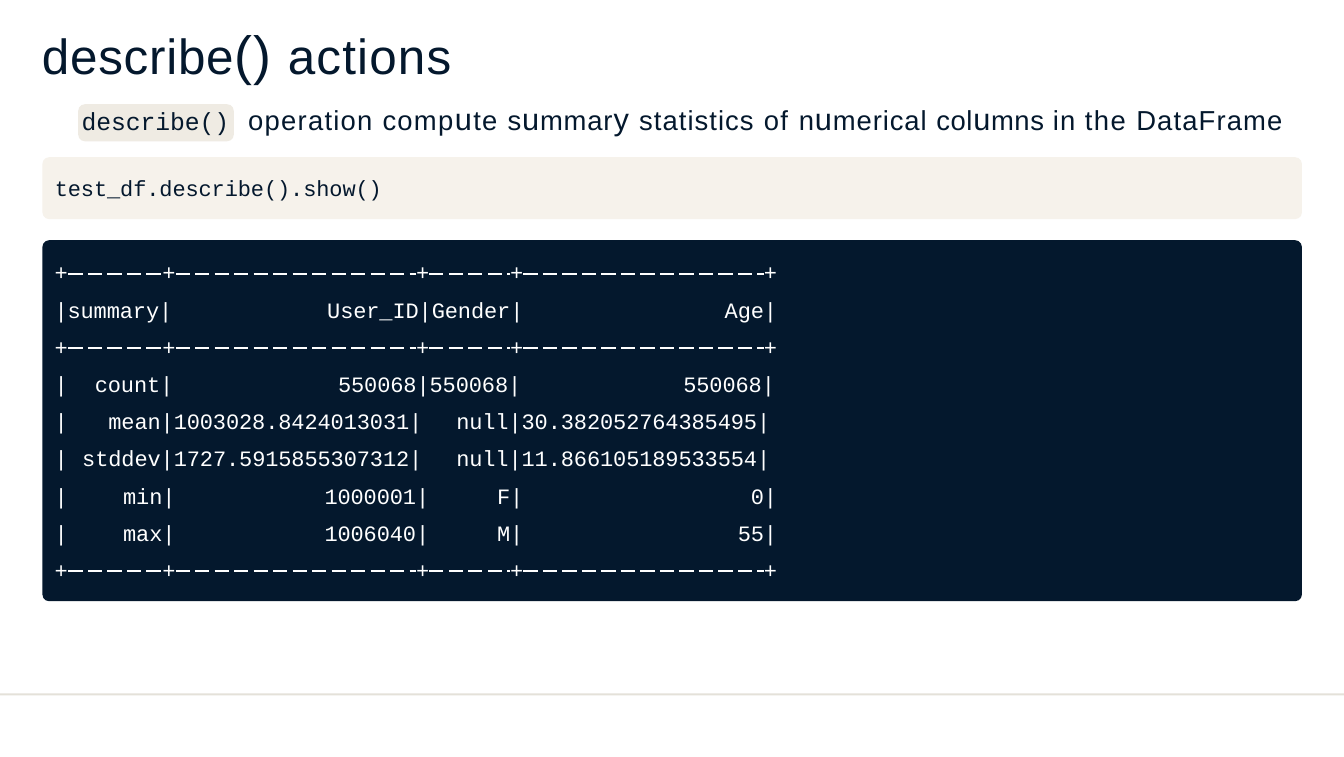
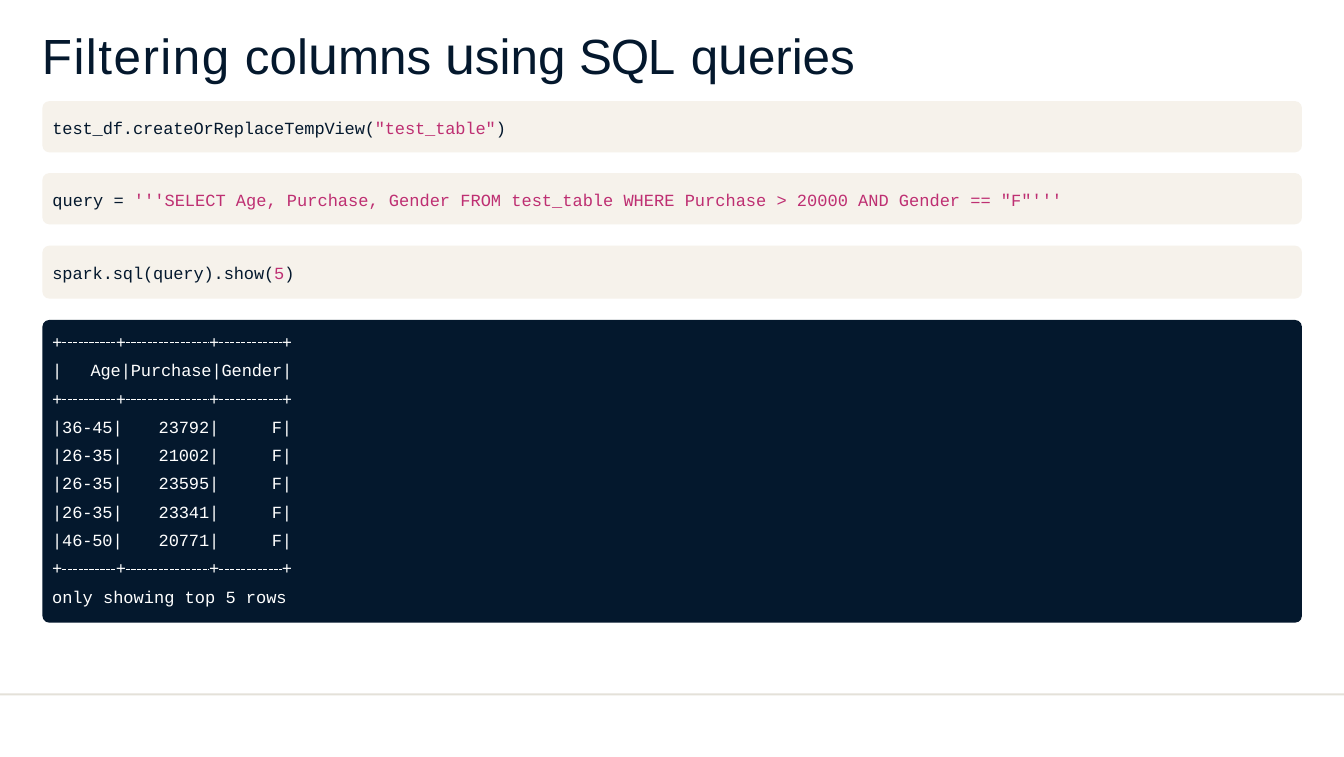
from lxml import etree
from pptx import Presentation
from pptx.dml.color import RGBColor
from pptx.enum import dml, shapes, text
from pptx.oxml import ns
from pptx.util import Pt

COLOURS = {"navy": "04182D", "sand": "F6F2EB", "chip": "EFEBE3",
           "rule": "E4E1D9", "pink": "BE2F72", "white": "FFFFFF", "dash": "FEFEFE"}
RGB = {name: RGBColor.from_string(value) for name, value in COLOURS.items()}
SANS, MONO = "Arial", "Courier New"
PANEL_LEFT, PANEL_WIDTH, RADIUS = 38.7, 1147.7, 6.1
FLUSH = {"margin_left": 0, "margin_right": 0, "margin_top": 0, "margin_bottom": 0,
         "word_wrap": True, "auto_size": text.MSO_AUTO_SIZE.NONE,
         "vertical_anchor": text.MSO_ANCHOR.TOP}


def write(frame, lines, font, pitch=None, **changes):
    """Fill a frame with lines of (text, size, letter spacing, colour) runs."""
    for name, value in {**FLUSH, **changes}.items():
        setattr(frame, name, value)
    for index, runs in enumerate(lines):
        paragraph = frame.add_paragraph() if index else frame.paragraphs[0]
        paragraph.alignment = text.PP_ALIGN.LEFT
        if pitch:
            paragraph.line_spacing = Pt(pitch)
        for words, size, spacing, colour in runs:
            run = paragraph.add_run()
            run.text = words
            for name, value in {"name": font, "size": Pt(size), "bold": False}.items():
                setattr(run.font, name, value)
            run.font.color.rgb = RGB[colour]
            run.font._element.set("spc", str(round(spacing * 100)))


def add_block(slide, left, top, width, height, colour, radius=RADIUS):
    """Add a plain filled block, rounded when it has a radius."""
    kind = shapes.MSO_SHAPE.ROUNDED_RECTANGLE if radius else shapes.MSO_SHAPE.RECTANGLE
    block = slide.shapes.add_shape(kind, Pt(left), Pt(top), Pt(width), Pt(height))
    if radius:
        block.adjustments[0] = radius / height
    block.shadow.inherit = False
    block.fill.solid()
    block.fill.fore_color.rgb = RGB[colour]
    block.line.fill.background()
    return block


# Console rows: (text, spacing, drift); each tab right-aligns what follows at a column edge,
# and drift pulls the row to the left of those edges.
WIDE_RULE, NARROW_RULE = ("+\t+\t+\t+\t+", -0.1, 0), ("+\t+\t+\t+", -0.1, 0)
PAGES = [
    {
        "title": [("describe", 45, 0.7), ("() ", 49, 0.7), ("actions", 45, 1.1)],
        "size": 20,
        "code_margins": {"margin_left": Pt(9.5), "margin_bottom": Pt(1.6)},
        "code": [(143.3, 56.4, -0.1, [("test_df.describe().show()", "navy")])],
        "console": (218.9, 329),
        "first_row": 226.1, "pitch": 33.9, "left": 49.7,
        "edges": [62.4, 160, 391.2, 477, 708.2],
        "dash": dml.MSO_LINE.LONG_DASH, "dash_width": 1.62,
        "rows": [
            WIDE_RULE,
            ("|summary|\tUser_ID|Gender|\tAge|", -0.1, 0),
            WIDE_RULE,
            ("|\tcount|\t550068|550068|\t550068|", -0.1, 2),
            ("|\tmean|1003028.8424013031|\tnull|30.382052764385495|", -0.1, 6.4),
            ("|\tstddev|1727.5915855307312|\tnull|11.866105189533554|", -0.1, 6.4),
            ("|\tmin|\t1000001|\tF|\t0|", -0.1, 0),
            ("|\tmax|\t1006040|\tM|\t55|", -0.1, 0),
            WIDE_RULE,
        ],
    },
    {
        "title": [("Filtering", 45, 1.4), (" col", 45, 0), ("u", 49, 0), ("mns ", 45, 0),
                  ("u", 49, 0), ("sing ", 45, 0), ("SQL", 45, -1.2), (" ", 45, 1.5),
                  ("q", 45, -0.1), ("u", 49, -0.1), ("eries", 45, -0.1)],
        "size": 15.5,
        "code_margins": {"margin_left": Pt(7.3), "margin_top": Pt(1.6)},
        "code": [
            (92.2, 46.6, -0.1, [("test_df.createOrReplaceTempView(", "navy"),
                                ('"test_table"', "pink"), (")", "navy")]),
            (157.8, 46.6, 0, [("query = ", "navy"),
                              ("'''SELECT Age, Purchase, Gender FROM test_table "
                               "WHERE Purchase > 20000 AND Gender == \"F\"'''", "pink")]),
            (223.9, 48.2, -0.1, [("spark.sql(query).show(", "navy"), ("5", "pink"),
                                 (")", "navy")]),
        ],
        "console": (291.6, 275.8),
        "first_row": 294.8, "pitch": 25.8, "left": 47.5,
        "edges": [56.6, 114.8, 199.8, 266.2],
        "dash": dml.MSO_LINE.SQUARE_DOT, "dash_width": 1.26,
        "rows": [
            NARROW_RULE,
            ("|\tAge|Purchase|Gender|", -0.1, 0),
            NARROW_RULE,
            ("|36-45|\t23792|\tF|", -0.1, 0),
            ("|26-35|\t21002|\tF|", -0.1, 0),
            ("|26-35|\t23595|\tF|", -0.1, 0),
            ("|26-35|\t23341|\tF|", -0.1, 0),
            ("|46-50|\t20771|\tF|", -0.1, 0),
            NARROW_RULE,
            ("only showing top 5 rows", 0, 0),
        ],
    },
]

deck = Presentation()
deck.slide_width, deck.slide_height = Pt(1224.7), Pt(689.8)
layout = deck.slide_layouts[5]
heading = layout.placeholders[0]
for name, value in {"left": 38.2, "top": 17.3, "width": 1098, "height": 61.2}.items():
    setattr(heading, name, Pt(value))

for number, page in enumerate(PAGES):
    slide = deck.slides.add_slide(layout)
    if number == 0:
        footer_rule = add_block(slide, 0, 631.8, 1224.7, 1.8, "rule", radius=0)
        layout.shapes._spTree.append(footer_rule._element)
    write(slide.shapes.title.text_frame, [[(*run, "navy") for run in page["title"]]],
          SANS, margin_top=Pt(1.6))

    size, pitch, edges = page["size"], page["pitch"], page["edges"]
    for top, height, spacing, runs in page["code"]:
        code = add_block(slide, PANEL_LEFT, top, PANEL_WIDTH, height, "sand")
        write(code.text_frame, [[(words, size, spacing, colour) for words, colour in runs]],
              MONO, vertical_anchor=text.MSO_ANCHOR.MIDDLE, **page["code_margins"])

    console_top, console_height = page["console"]
    add_block(slide, PANEL_LEFT, console_top, PANEL_WIDTH, console_height, "navy")
    output = slide.shapes.add_textbox(Pt(page["left"]), Pt(page["first_row"]), Pt(1100),
                                      Pt(pitch * len(page["rows"])))
    write(output.text_frame,
          [[(line, size, spacing, "white")] for line, spacing, drift in page["rows"]],
          MONO, pitch)

    for row_number, (line, spacing, drift) in enumerate(page["rows"], 1):
        # The bars passed so far tell at which column edge a chunk ends
        chunks = line.split("\t")
        bars_passed = chunks[0].count("|") + chunks[0].count("+")
        if len(chunks) > 1:
            properties = output.text_frame.paragraphs[row_number - 1]._p.get_or_add_pPr()
            stops = etree.SubElement(properties, ns.qn("a:tabLst"))
        for chunk in chunks[1:]:
            bars_passed += chunk.count("|") + chunk.count("+")
            position = Pt(edges[bars_passed - 1] - page["left"] - drift)
            etree.SubElement(stops, ns.qn("a:tab"), pos=str(int(position)), algn="r")

        if not line.startswith("+"):
            continue
        y = Pt(page["first_row"] + row_number * pitch - 0.53 * size)
        for start, end in zip(edges, edges[1:]):
            dashes = slide.shapes.add_connector(shapes.MSO_CONNECTOR.STRAIGHT,
                                                Pt(start), y, Pt(end - 0.6 * size), y)
            dashes.line.color.rgb = RGB["dash"]
            dashes.line.width = Pt(page["dash_width"])
            dashes.line.dash_style = page["dash"]
            etree.SubElement(dashes._element.spPr, ns.qn("a:effectLst"))

describe_slide = deck.slides[0]
method = add_block(describe_slide, 71.3, 95, 141.8, 33.8, "chip")
write(method.text_frame, [[("describe()", 22.5, -0.1, "navy")]], MONO,
      margin_left=Pt(1.4), margin_bottom=Pt(3), vertical_anchor=text.MSO_ANCHOR.MIDDLE)

SENTENCE = [("operation comp", 25, 1.15), ("u", 28, 1.15), ("te ", 25, 1.15), ("s", 25, 0.8),
            ("u", 28, 0.8), ("mmar", 25, 0.8), ("y ", 28, 0.8), ("statistics ", 25, 1),
            ("of ", 25, 1.4), ("n", 25, 0.85), ("u", 28, 0.85), ("merical ", 25, 0.85),
            ("col", 25, 0.6), ("u", 28, 0.6), ("mns ", 25, 0.6), ("in ", 25, 0.9),
            ("the ", 25, 1.3), ("DataFrame", 25, 1.05)]
purpose = describe_slide.shapes.add_textbox(Pt(226.2), Pt(90), Pt(970), Pt(36))
write(purpose.text_frame, [[(*run, "navy") for run in SENTENCE]], SANS, margin_top=Pt(0.7))

deck.save("out.pptx")
